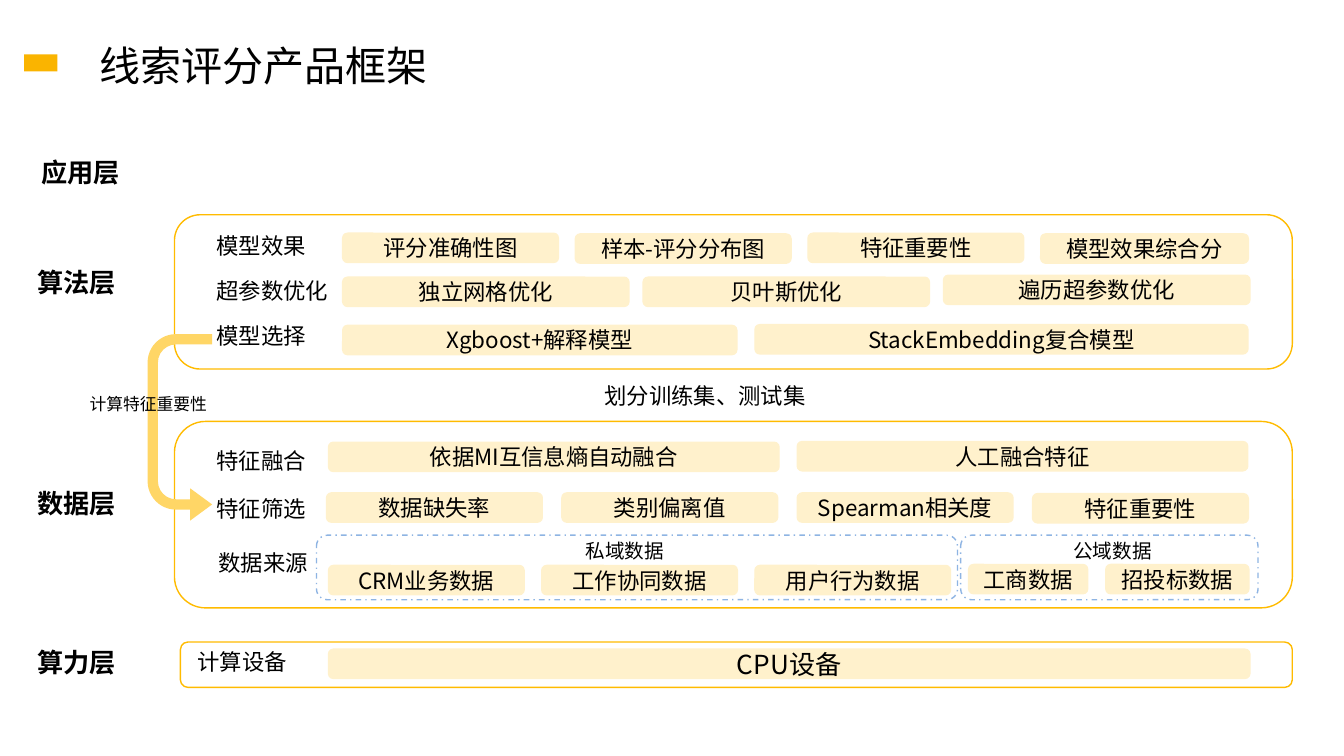
from dataclasses import dataclass

from lxml import etree
from pptx import Presentation
from pptx.dml.color import RGBColor
from pptx.enum import dml, shapes, text
from pptx.oxml import ns
from pptx.util import Pt


@dataclass(frozen=True)
class Theme:
    """Colours, font and type sizes of the slide."""
    font: str = "Noto Sans CJK SC"
    ink: str = "000000"
    marker: str = "FAB400"
    frame: str = "FFBB00"
    white: str = "FFFFFF"
    chip: str = "FFF1CC"
    group: str = "8EB4E3"
    arrow: str = "FFD666"
    title: float = 29.3
    layer: float = 18.7
    body: float = 16
    small: float = 14
    note: float = 12


@dataclass(frozen=True)
class Box:
    """A rectangle in points."""
    left: float
    top: float
    width: float
    height: float

    def inner(self, left, top, width, height):
        """Return a box measured from this box's corner."""
        return Box(self.left + left, self.top + top, width, height)

    def lengths(self):
        """Return the four lengths for python-pptx."""
        return [Pt(n) for n in (self.left, self.top, self.width, self.height)]


@dataclass(frozen=True)
class Row:
    """A line of chips: label and chip places are measured from the panel."""
    label: str
    label_left: float
    label_top: float
    left: float
    top: float
    gap: float
    chips: tuple
    size: float = Theme.body


THEME = Theme()
CHIP_HEIGHT = 20.9


def write(frame, words, size, bold=False, align=text.PP_ALIGN.LEFT):
    """Write one run of text into a frame."""
    frame.word_wrap = True
    para = frame.paragraphs[0]
    para.alignment = align
    span = para.add_run()
    span.text = words
    span.font.name = THEME.font
    span.font.size = Pt(size)
    span.font.bold = bold
    span.font.color.rgb = RGBColor.from_string(THEME.ink)
    east = etree.SubElement(span.font._element, ns.qn("a:ea"))
    east.set("typeface", THEME.font)


def add_text(page, box, words, size=THEME.body, bold=False, anchor=text.MSO_ANCHOR.TOP):
    """Add a text box."""
    frame = page.shapes.add_textbox(*box.lengths()).text_frame
    frame.vertical_anchor = anchor
    write(frame, words, size, bold)


def add_block(page, kind, box, fill=None, line=None):
    """Add a flat preset shape."""
    shape = page.shapes.add_shape(kind, *box.lengths())
    shape.shadow.inherit = False
    if fill:
        shape.fill.solid()
        shape.fill.fore_color.rgb = RGBColor.from_string(fill)
    else:
        shape.fill.background()
    if line:
        shape.line.color.rgb = RGBColor.from_string(line)
        shape.line.width = Pt(1)
    else:
        shape.line.fill.background()
    return shape


def add_rounded(page, box, fill=None, line=None):
    """Add a rounded rectangle."""
    return add_block(page, shapes.MSO_SHAPE.ROUNDED_RECTANGLE, box, fill, line)


def add_chips(page, box, row):
    """Add the chips of a row from left to right."""
    left = row.left
    for words, width, *nudge in row.chips:
        place = box.inner(left, row.top + sum(nudge), width, CHIP_HEIGHT)
        chip = add_rounded(page, place, THEME.chip, THEME.chip)
        chip.text_frame.vertical_anchor = text.MSO_ANCHOR.MIDDLE
        write(chip.text_frame, words, row.size, align=text.PP_ALIGN.CENTER)
        left += width + row.gap


def add_panel(page, box, rows):
    """Add a framed layer with its labelled rows."""
    add_rounded(page, box, THEME.white, THEME.frame)
    for row in rows:
        if row.label:
            place = box.inner(row.label_left, row.label_top, 114.5, 26.6)
            add_text(page, place, row.label)
        add_chips(page, box, row)


def add_group(page, box, words, left):
    """Add a dashed group with its heading."""
    group = add_rounded(page, box, line=THEME.group)
    group.line.dash_style = dml.MSO_LINE.DASH_DOT
    add_text(page, box.inner(left, -1.2, 94.3, 24.5), words, THEME.small)


def add_title(page, box):
    """Add the marker and the title."""
    add_block(page, shapes.MSO_SHAPE.RECTANGLE, box.inner(17.3, 38.9, 23.8, 12.2), THEME.marker)
    add_text(page, box.inner(64.1, 1.4, 700.6, 90), "线索评分产品框架", THEME.title,
             anchor=text.MSO_ANCHOR.MIDDLE)


def add_layer_names(page, box):
    """Add the layer names down the left edge."""
    names = (("应用层", 2.9, 108), ("算法层", 0, 186.5), ("数据层", 0, 344.2), ("算力层", 0, 457.9))
    for words, left, top in names:
        add_text(page, box.inner(left, top, 109.4, 30.2), words, THEME.layer, True)


def add_algorithms(page, box):
    """Add the algorithm layer."""
    add_panel(page, box, (
        Row("模型效果", 23, 8.6, 120.2, 13.2, 12.1,
            (("评分准确性图", 154.1), ("样本-评分分布图", 154.1, 0.5),
             ("特征重要性", 154.1), ("模型效果综合分", 148.3, 0.5))),
        Row("超参数优化", 23, 41, 120.2, 44.6, 10.1,
            (("独立网格优化", 204.5), ("贝叶斯优化", 204.5), ("遍历超参数优化", 218.9, -1.4))),
        Row("模型选择", 23, 73.4, 120.2, 79, 13,
            (("Xgboost+解释模型", 281.5), ("StackEmbedding复合模型", 352.1, -0.5))),
    ))


def add_data(page, box):
    """Add the data layer with its two source groups."""
    add_panel(page, box, (
        Row("特征融合", 23, 15.1, 110.1, 14.9, 13,
            (("依据MI互信息熵自动融合", 321.8), ("人工融合特征", 321.8, -0.5))),
        Row("特征筛选", 23, 48.9, 108.7, 51.1, 14,
            (("数据缺失率", 154.1), ("类别偏离值", 154.1),
             ("Spearman相关度", 154.1), ("特征重要性", 154.1, 0.5))),
        Row("数据来源", 24.4, 87.8, 110.1, 102.9, 12.6,
            (("CRM业务数据", 139.7), ("工作协同数据", 139.7), ("用户行为数据", 139.7))),
        Row("", 0, 0, 567.3, 102.2, 13, (("工商数据", 85), ("招投标数据", 102.2))),
    ))
    add_group(page, box.inner(101.5, 81.3, 457.9, 46.1), "私域数据", 185)
    add_group(page, box.inner(561.6, 81.3, 212.4, 46.1), "公域数据", 73.4)


def add_computing(page, box):
    """Add the computing layer."""
    add_panel(page, box, (
        Row("计算设备", 5, 0.7, 105.8, 5.1, 0, (("CPU设备", 658.1),), THEME.layer),))


def add_feedback(page, box):
    """Add the return arrow and the notes between the layers."""
    arrow = add_block(page, shapes.MSO_SHAPE.U_TURN_ARROW, box.inner(5, 12.9, 133.2, 46.1), THEME.arrow)
    for index, value in enumerate((0.16, 0.25, 0.34, 0.44, 1)):
        arrow.adjustments[index] = value
    arrow.rotation = 270
    arrow._element.spPr.find(ns.qn("a:xfrm")).set("flipH", "1")
    add_text(page, box.inner(367.9, 0, 161.3, 26.6), "划分训练集、测试集")
    add_text(page, box.inner(0, 8.6, 134.6, 21.6), "计算特征重要性", THEME.note)


def main():
    """Build and save the deck."""
    deck = Presentation()
    deck.slide_width, deck.slide_height = Pt(960), Pt(540)
    page = deck.slides.add_slide(deck.slide_layouts[6])
    add_title(page, Box(0, 0, 960, 93))
    add_algorithms(page, Box(124.6, 153.4, 798.5, 110.2))
    add_data(page, Box(124.6, 301, 798.5, 133.2))
    add_computing(page, Box(128.9, 458.6, 794.2, 32.4))
    add_layer_names(page, Box(19.4, 0, 109.4, 540))
    add_feedback(page, Box(56.9, 269.3, 529.2, 64))
    deck.save("out.pptx")


if __name__ == "__main__":
    main()
